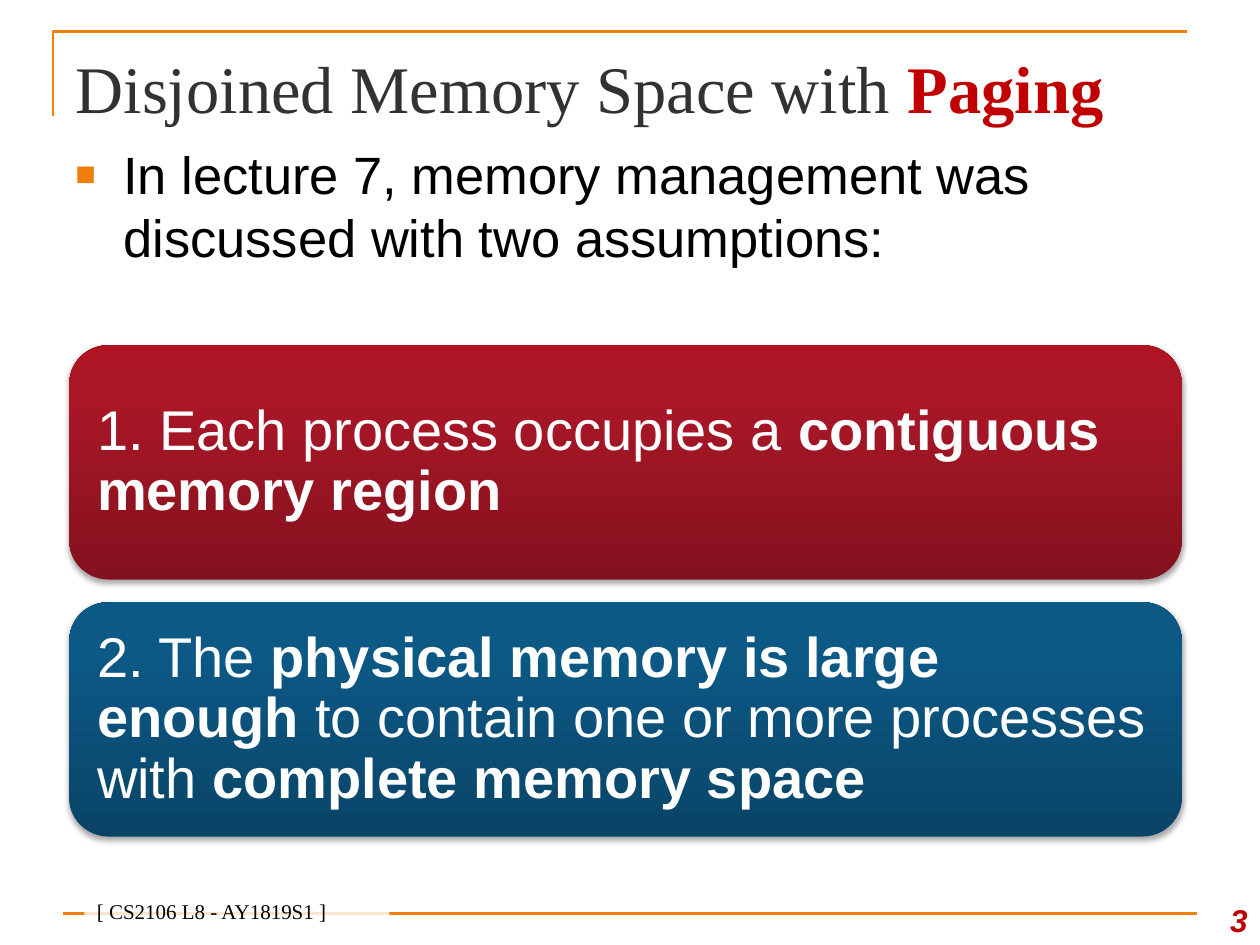
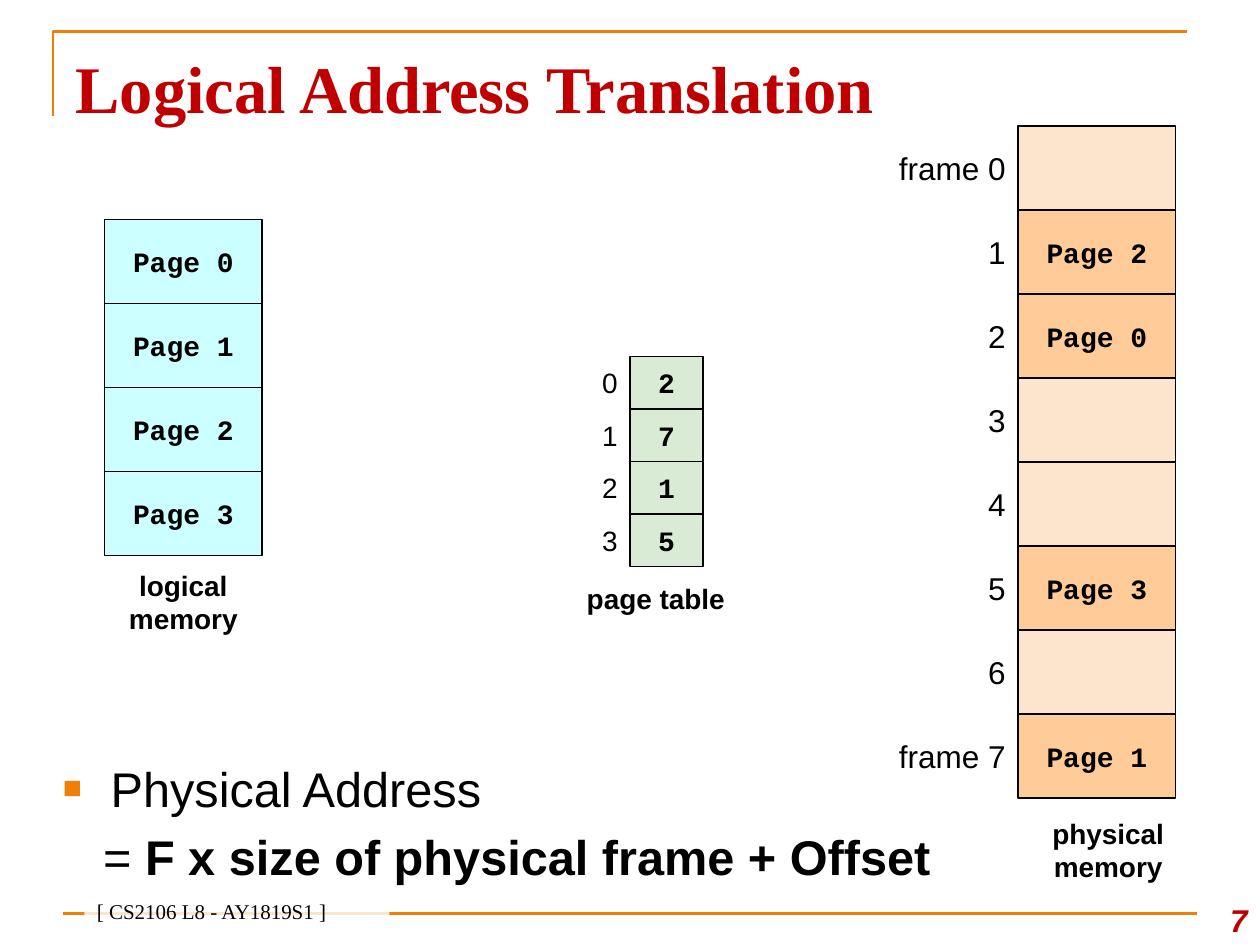
import pptx
import pptx.dml.color
import pptx.enum.shapes
import pptx.enum.text
import pptx.oxml
import pptx.oxml.ns
import pptx.util
from lxml import etree

Inches, Pt = pptx.util.Inches, pptx.util.Pt
RGBColor = pptx.dml.color.RGBColor
Shape = pptx.enum.shapes.MSO_SHAPE
Align, Anchor = pptx.enum.text.PP_ALIGN, pptx.enum.text.MSO_ANCHOR
qn = pptx.oxml.ns.qn

ORANGE = RGBColor(0xF0, 0x7F, 0x09)
RED = RGBColor(0xC0, 0x00, 0x00)
GREY = RGBColor(0x32, 0x32, 0x32)
BLACK = RGBColor(0x00, 0x00, 0x00)
WHITE = RGBColor(0xFF, 0xFF, 0xFF)
CYAN = RGBColor(0xCC, 0xFF, 0xFF)
GREEN = RGBColor(0xD9, 0xEA, 0xD5)
FREE_FRAME = RGBColor(0xFD, 0xE5, 0xCD)
USED_FRAME = RGBColor(0xFF, 0xCC, 0x99)
# Gradient stops from bottom to top: (percent, colour)
RED_GRADIENT = [(0, RGBColor(0x84, 0x11, 0x1E)), (80, RGBColor(0xAB, 0x17, 0x27)),
                (100, RGBColor(0xAF, 0x14, 0x25))]
BLUE_GRADIENT = [(0, RGBColor(0x09, 0x44, 0x67)), (80, RGBColor(0x0C, 0x59, 0x86)),
                 (100, RGBColor(0x0A, 0x5A, 0x89))]

BOLD = {"bold": True}
TITLE = {"name": "Times New Roman", "size": Pt(38), "color": GREY}
TITLE_KEY = {"bold": True, "color": RED}
FOOTER = {"name": "Times New Roman", "size": Pt(12), "color": BLACK}
NUMBER = {"name": "Arial", "size": Pt(18), "color": RED, "bold": True, "italic": True}
BODY = {"name": "Arial", "size": Pt(30), "color": BLACK}
FORMULA = {**BODY, "size": Pt(27.8)}
PANEL = {"name": "Arial", "size": Pt(32), "color": WHITE}
CELL = {"name": "Courier New", "size": Pt(16), "color": BLACK, "bold": True}
CAPTION = {**CELL, "name": "Arial"}
FRAME_LABEL = {"name": "Arial", "size": Pt(18), "color": BLACK}
ENTRY_LABEL = {**FRAME_LABEL, "size": Pt(16)}


def set_attrs(obj, values):
    for name, value in values.items():
        setattr(obj, name, value)


def inches(box):
    return [Inches(v) for v in box]


def add_runs(p, runs, font, **para):
    """Fill a paragraph with (text, font overrides) pairs."""
    set_attrs(p, para)
    for text, extra in runs:
        r = p.add_run()
        r.text = text
        values = {**font, **extra}
        r.font.color.rgb = values.pop("color")
        set_attrs(r.font, values)


def add_text(slide, box, runs, font, anchor=Anchor.MIDDLE, **para):
    tf = slide.shapes.add_textbox(*inches(box)).text_frame
    set_attrs(tf, {"word_wrap": True, "vertical_anchor": anchor})
    add_runs(tf.paragraphs[0], runs, font, **para)
    return tf


def add_bullet(p):
    pPr = p._p.get_or_add_pPr()
    set_attrs(p, {"space_before": Pt(6)})
    pPr.set("marL", str(Inches(0.38)))
    pPr.set("indent", str(-Inches(0.38)))
    colour = etree.SubElement(pPr, qn("a:buClr"))
    etree.SubElement(colour, qn("a:srgbClr"), val=str(ORANGE))
    etree.SubElement(pPr, qn("a:buSzPct"), val="65000")
    etree.SubElement(pPr, qn("a:buFont"), typeface="Arial")
    etree.SubElement(pPr, qn("a:buChar"), char="■")


def add_box(slide, box, fill=None, line=None, kind=Shape.RECTANGLE):
    sp = slide.shapes.add_shape(kind, *inches(box))
    sp.shadow.inherit = False
    if fill is not None:
        sp.fill.solid()
        sp.fill.fore_color.rgb = fill
    if line is None:
        sp.line.fill.background()
    else:
        sp.line.color.rgb = line
        sp.line.width = Pt(0.75)
    set_attrs(sp.text_frame, {"word_wrap": True, "vertical_anchor": Anchor.MIDDLE})
    return sp


def add_cell(slide, box, fill, text):
    sp = add_box(slide, box, fill, BLACK)
    if text:
        add_runs(sp.text_frame.paragraphs[0], [(text, {})], CELL, alignment=Align.CENTER)


def add_stack(slide, left, top, width, height, cells):
    """Stack (text, fill) cells downwards without gaps."""
    for i, (text, fill) in enumerate(cells):
        add_cell(slide, (left, top + i * height, width, height), fill, text)


def add_labels(slide, right, top, width, height, labels, font):
    for i, text in enumerate(labels):
        add_text(slide, (right - width, top + i * height, width, height),
                 [(text, {})], font, alignment=Align.RIGHT)


def add_caption(slide, box, text):
    add_text(slide, box, [(text, {})], CAPTION, alignment=Align.CENTER)


def add_panel(slide, top, stops, runs):
    """Rounded panel with a vertical gradient and a soft shadow."""
    sp = add_box(slide, (0.55, top, 8.83, 1.86), kind=Shape.ROUNDED_RECTANGLE)
    sp.fill.gradient()
    sp.fill.gradient_angle = 90
    gs_list = sp._element.spPr.find(".//" + qn("a:gsLst"))
    gs_list.clear()
    for percent, colour in stops:
        gs = etree.SubElement(gs_list, qn("a:gs"), pos=str(percent * 1000))
        etree.SubElement(gs, qn("a:srgbClr"), val=str(colour))
    shadow = etree.SubElement(
        sp._element.spPr.find(qn("a:effectLst")), qn("a:outerShdw"),
        blurRad=str(Pt(3.1)), dist=str(Pt(1.8)), dir="5400000", rotWithShape="0")
    colour = etree.SubElement(shadow, qn("a:srgbClr"), val=str(BLACK))
    etree.SubElement(colour, qn("a:alpha"), val="35000")
    tf = sp.text_frame
    set_attrs(tf, {f"margin_{side}": Inches(0.13)
                   for side in ("left", "top", "right", "bottom")})
    add_runs(tf.paragraphs[0], runs, PANEL, alignment=Align.LEFT, line_spacing=0.9)


def add_frame_lines(slide):
    builder = slide.shapes.build_freeform(Inches(0.42), Inches(0.92))
    builder.add_line_segments([inches((0.42, 0.25)), inches((9.42, 0.25))], close=False)
    corner = builder.convert_to_shape()
    corner.fill.background()
    corner.shadow.inherit = False
    rule = slide.shapes.add_connector(pptx.enum.shapes.MSO_CONNECTOR.STRAIGHT,
                                      *inches((0.5, 7.25, 9.5, 7.25)))
    etree.SubElement(rule._element.spPr, qn("a:effectLst"))
    for sp in (corner, rule):
        sp.line.color.rgb = ORANGE
        sp.line.width = Pt(1.5)


def add_footer(slide, number):
    sp = add_box(slide, (0.67, 7.13, 2.42, 0.25), WHITE)
    colour = sp._element.spPr.find(qn("a:solidFill"))[0]
    etree.SubElement(colour, qn("a:alpha"), val="80000")
    sp.text_frame.vertical_anchor = Anchor.BOTTOM
    add_runs(sp.text_frame.paragraphs[0], [("[ CS2106 L8 - AY1819S1 ]", {})],
             FOOTER, alignment=Align.LEFT)
    add_text(slide, (9.42, 7, 0.58, 0.5), [(number, {})], NUMBER,
             Anchor.BOTTOM, alignment=Align.RIGHT)


def new_slide(prs, title_runs, number):
    slide = prs.slides.add_slide(prs.slide_layouts[5])
    add_frame_lines(slide)
    title = slide.shapes.title
    set_attrs(title, dict(zip(("left", "top", "width", "height"),
                              inches((0.5, 0.3, 9, 0.78)))))
    tf = title.text_frame
    set_attrs(tf, {"word_wrap": True, "vertical_anchor": Anchor.MIDDLE,
                   "auto_size": pptx.enum.text.MSO_AUTO_SIZE.NONE})
    add_runs(tf.paragraphs[0], title_runs, TITLE, alignment=Align.LEFT)
    add_footer(slide, number)
    return slide


def build_assumptions(prs):
    slide = new_slide(prs, [("Disjoined Memory Space with ", {}),
                            ("Paging", TITLE_KEY)], "3")
    tf = add_text(slide, (0.5, 1.08, 9, 1.25),
                  [("In lecture 7, memory management was discussed with two assumptions:", {})],
                  BODY, Anchor.TOP)
    add_bullet(tf.paragraphs[0])
    add_panel(slide, 2.74, RED_GRADIENT,
              [("1. Each process occupies a ", {}), ("contiguous memory region", BOLD)])
    add_panel(slide, 4.78, BLUE_GRADIENT,
              [("2. The ", {}), ("physical memory is large enough ", BOLD),
               ("to contain one or more processes with ", {}),
               ("complete memory space", BOLD)])


def build_translation(prs):
    slide = new_slide(prs, [("Logical Address Translation", TITLE_KEY)], "7")
    tf = add_text(slide, (0.4, 5.97, 7.5, 0.99), [("Physical Address", {})],
                  FORMULA, Anchor.TOP)
    add_bullet(tf.paragraphs[0])
    p = tf.add_paragraph()
    add_runs(p, [("= ", {}), ("F x size of physical frame + Offset", BOLD)],
             FORMULA, space_before=Pt(5.5))
    p._p.get_or_add_pPr().set("marL", str(Inches(0.32)))

    page_table = [2, 7, 1, 5]
    page_height, entry_height = 2 / 3, 5 / 12
    pages = [f"Page {i}" for i in range(len(page_table))]
    add_stack(slide, 0.83, 1.74, 1.25, page_height, [(page, CYAN) for page in pages])
    add_caption(slide, (0.58, 4.4, 1.75, 0.75), "logical memory")

    add_labels(slide, 5, 2.83, 0.5, entry_height,
               [str(i) for i in range(len(page_table))], ENTRY_LABEL)
    add_stack(slide, 5, 2.83, 0.58, entry_height,
              [(str(frame), GREEN) for frame in page_table])
    add_caption(slide, (4.33, 4.58, 1.75, 0.33), "page table")

    frames = [("", FREE_FRAME)] * 8
    for page, frame in zip(pages, page_table):
        frames[frame] = (page, USED_FRAME)
    labels = ["frame 0", *map(str, range(1, 7)), "frame 7"]
    add_labels(slide, 8.08, 1, 1.08, page_height, labels, FRAME_LABEL)
    add_stack(slide, 8.08, 1, 1.25, page_height, frames)
    add_caption(slide, (7.92, 6.33, 1.75, 0.83), "physical memory")


def main():
    prs = pptx.Presentation()
    prs.slide_width, prs.slide_height = Inches(10), Inches(7.5)
    build_assumptions(prs)
    build_translation(prs)
    prs.save("out.pptx")


if __name__ == "__main__":
    main()
